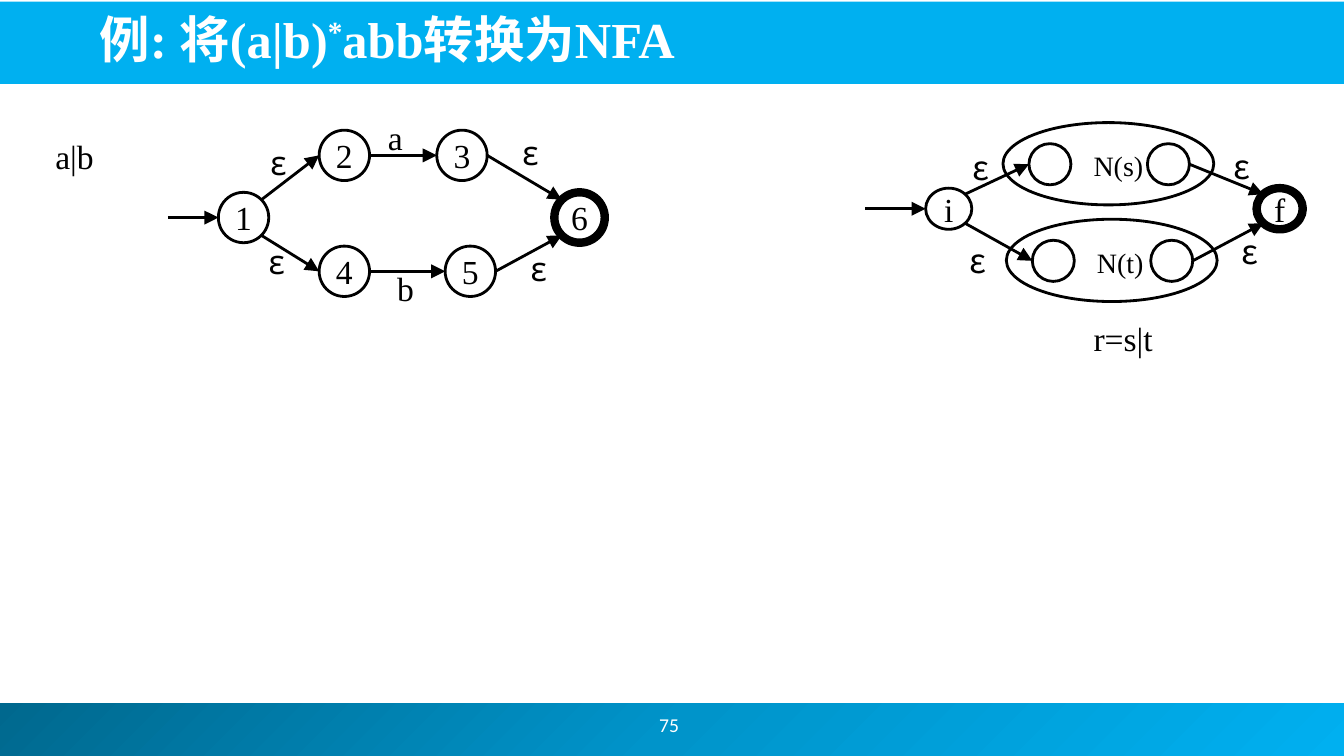
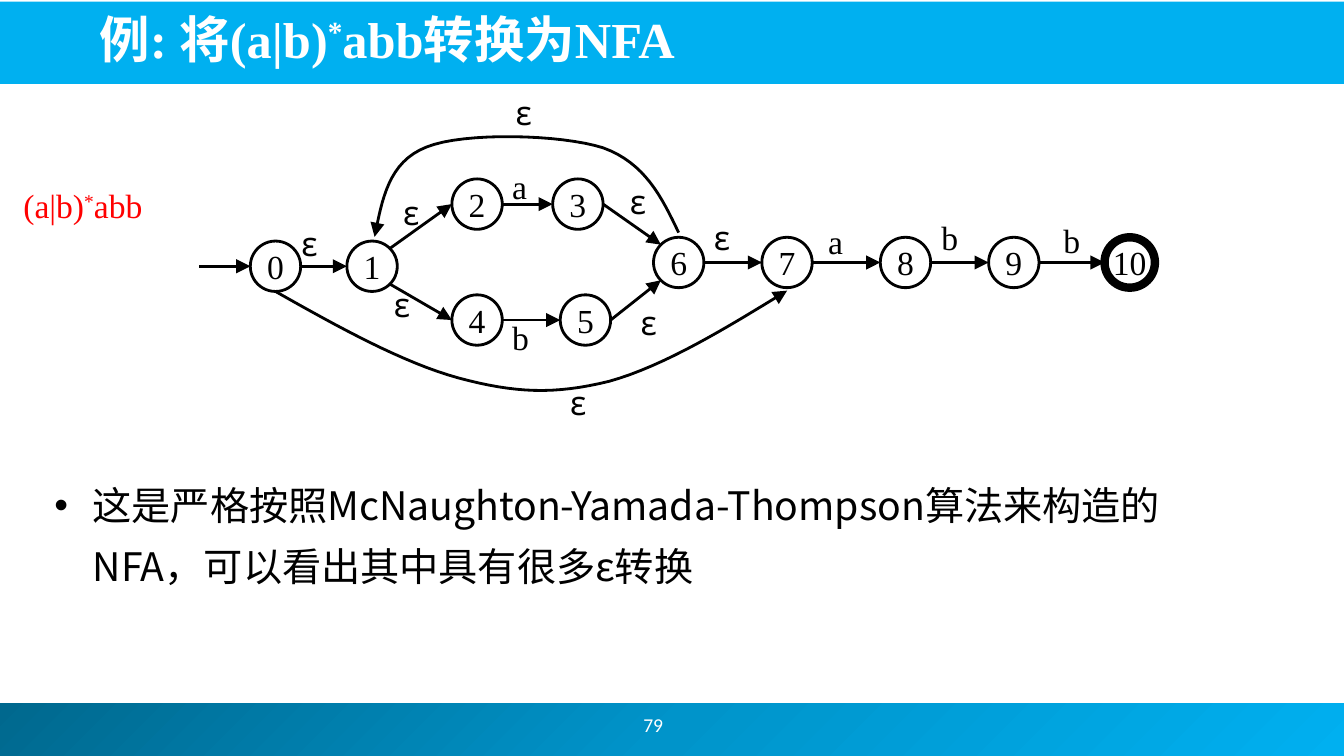
"""Build two slides that turn the regular expression (a|b)*abb into an NFA."""
from copy import deepcopy
from dataclasses import dataclass
from enum import IntEnum
from math import cos, pi, sin

from lxml import etree
from pptx import Presentation
from pptx import util as u
from pptx.dml.color import RGBColor
from pptx.enum import shapes, text
from pptx.oxml.ns import qn

COLS, ROWS = 160, 90
CELL = u.Inches(7.5) / ROWS
COLORS = {
    "ink": "000000", "accent": "FF0000", "white": "FFFFFF", "band": "00B0F0",
    "foot_dark": "00688E", "foot_mid": "0094CA",
}
SERIF, SANS, ROUND, PLAIN = "Times New Roman", "Noto Sans CJK JP", "Comic Neue", "Calibri"
THIN, THICK = 2, 6
CURVE_STEPS = 16


class Site(IntEnum):
    """Connection sites of an ellipse, counter-clockwise from the top."""
    TOP_LEFT = 1
    LEFT = 2
    BOTTOM_LEFT = 3
    BOTTOM_RIGHT = 5
    RIGHT = 6
    TOP_RIGHT = 7


@dataclass(frozen=True)
class Run:
    """A piece of text with its font."""
    text: str
    font: str = SERIF
    baseline: int = 0


@dataclass(frozen=True)
class State:
    """An ellipse in grid cells; entry is the length of its start arrow."""
    key: str
    x: float
    y: float
    label: str = ""
    w: float = 6
    h: float = 6
    final: bool = False
    entry: float = 0

    def at(self, site: Site) -> tuple[float, float]:
        """Return the grid position of a connection site."""
        angle = pi / 2 + site * pi / 4
        return (self.x + self.w * (1 + cos(angle)) / 2,
                self.y + self.h * (1 - sin(angle)) / 2)


@dataclass(frozen=True)
class Arrow:
    """A transition between two states."""
    start: str
    end: str
    leave: Site = Site.RIGHT
    enter: Site = Site.LEFT


@dataclass(frozen=True)
class Label:
    """Free text at a grid position."""
    x: float
    y: float
    runs: tuple[Run, ...]
    w: float = 4.5
    size: int = 24
    color: str = "ink"


@dataclass(frozen=True)
class Page:
    """What one slide shows."""
    number: str
    number_x: float
    states: list[State]
    arrows: list[Arrow]
    labels: list[Label]
    curves: tuple = ()
    note: str = ""


def marks(run: Run, *spots: tuple[float, float]) -> list[Label]:
    """Repeat one transition symbol at several spots."""
    return [Label(x, y, (run,)) for x, y in spots]


def fork(first: str, last: str, *branches: tuple[str, str]) -> list[Arrow]:
    """Return arrows from one state through an upper and a lower branch."""
    leaves = (Site.TOP_RIGHT, Site.BOTTOM_RIGHT)
    enters = (Site.TOP_LEFT, Site.BOTTOM_LEFT)
    return ([Arrow(first, b[0], leave=s) for b, s in zip(branches, leaves)]
            + [Arrow(b[1], last, enter=s) for b, s in zip(branches, enters)])


def chain(*keys: str) -> list[Arrow]:
    """Return horizontal arrows along a row of states."""
    return [Arrow(a, b) for a, b in zip(keys, keys[1:])]


def submachine(key: str, x: float, y: float) -> tuple[list[State], Label]:
    """Return the outline, end states and name of a nested automaton."""
    states = [State(key, x, y, w=25.1, h=9.8)]
    states += [State(key + end, x + dx, y + 2.5, w=5, h=4.9)
               for end, dx in (("in", 3.1), ("out", 17.2))]
    return states, Label(x + 9.6, y + 2.5, (Run(f"N({key})"),), 9.5, 20)


def g(n: float) -> int:
    """Convert grid cells to a length."""
    return u.Emu(round(n * CELL))


def rgb(name: str) -> RGBColor:
    """Look up a colour."""
    return RGBColor.from_string(COLORS[name])


def write(p, runs: tuple[Run, ...], size: int, color: str, bold: bool = False) -> None:
    """Add runs to a paragraph."""
    for run in runs:
        r = p.add_run()
        r.text = run.text
        r.font.size, r.font.name, r.font.bold = u.Pt(size), run.font, bold
        r.font.color.rgb = rgb(color)
        rPr = r._r.get_or_add_rPr()
        etree.SubElement(rPr, qn("a:ea"), typeface=SANS)
        if run.baseline:
            rPr.set("baseline", str(run.baseline * 1000))


def add_text(s, x, y, w, h, runs, size, color="ink", bold=False, wrap=True,
             anchor=text.MSO_ANCHOR.TOP):
    """Add a text box and return its first paragraph."""
    tf = s.shapes.add_textbox(g(x), g(y), g(w), g(h)).text_frame
    tf.word_wrap, tf.vertical_anchor = wrap, anchor
    write(tf.paragraphs[0], runs, size, color, bold)
    return tf.paragraphs[0]


def stroke(sp, width: float = THIN, arrow: bool = False) -> None:
    """Give a shape or connector a black line, with an arrowhead if asked."""
    sp.line.color.rgb = rgb("ink")
    sp.line.width = u.Pt(width)
    if arrow:
        ln = sp._element.spPr.find(qn("a:ln"))
        etree.SubElement(ln, qn("a:tailEnd"), type="triangle", w="lg", len="lg")


def add_band(s, y: float, h: float):
    """Add a full-width band."""
    sp = s.shapes.add_shape(shapes.MSO_SHAPE.RECTANGLE, 0, g(y), g(COLS), g(h))
    sp.shadow.inherit = False
    sp.line.fill.background()
    return sp


def add_frame(s, page: Page) -> None:
    """Draw the bands, title and page number."""
    foot = add_band(s, 83.7, 6.3)
    foot.fill.gradient()
    foot.fill.gradient_angle = 315
    stops = foot._element.spPr.find(".//" + qn("a:gsLst"))
    stops.insert(1, deepcopy(stops[0]))
    for stop, pos, name in zip(foot.fill.gradient_stops, (0, 0.5, 1),
                               ("foot_dark", "foot_mid", "band")):
        stop.position, stop.color.rgb = pos, rgb(name)
    head = add_band(s, 0.2, 9.8)
    head.fill.solid()
    head.fill.fore_color.rgb = rgb("band")
    title = (Run("例", SANS), Run(": 将(a|b)"), Run("*", baseline=30), Run("abb转换为NFA"))
    add_text(s, 10.7, 0.5, 136, 8.2, title, 36, "white", True,
             anchor=text.MSO_ANCHOR.BOTTOM)
    add_text(s, page.number_x, 83.3, 34.7, 6, (Run(page.number, PLAIN),), 14, "white",
             anchor=text.MSO_ANCHOR.MIDDLE)


def add_state(s, st: State):
    """Draw a state."""
    sp = s.shapes.add_shape(shapes.MSO_SHAPE.OVAL, g(st.x), g(st.y), g(st.w), g(st.h))
    sp.shadow.inherit = False
    sp.fill.background()
    stroke(sp, THICK if st.final else THIN)
    if st.label:
        tf = sp.text_frame
        tf.word_wrap, tf.vertical_anchor = False, text.MSO_ANCHOR.MIDDLE
        tf.paragraphs[0].alignment = text.PP_ALIGN.CENTER
        write(tf.paragraphs[0], (Run(st.label),), 24, "ink")
    return sp


def add_arrow(s, start: tuple[float, float], end: tuple[float, float], joins) -> None:
    """Draw a straight arrow glued to the given shapes and sites."""
    c = s.shapes.add_connector(shapes.MSO_CONNECTOR.STRAIGHT,
                               *(g(n) for n in (*start, *end)))
    stroke(c, arrow=True)
    etree.SubElement(c._element.spPr, qn("a:effectLst"))
    for tag, sp, site in joins:
        etree.SubElement(c._element.nvCxnSpPr.cNvCxnSpPr, qn(tag),
                         id=str(sp.shape_id), idx=str(int(site)))


def add_curve(s, pts: list[tuple[float, float]]) -> None:
    """Draw an arrow along joined cubic Bezier segments."""
    path_pts = []
    for i in range(0, len(pts) - 1, 3):
        for step in range(1, CURVE_STEPS + 1):
            t = step / CURVE_STEPS
            weights = ((1 - t) ** 3, 3 * t * (1 - t) ** 2, 3 * t * t * (1 - t), t ** 3)
            path_pts.append(tuple(
                g(sum(k * pt[axis] for k, pt in zip(weights, pts[i:i + 4])))
                for axis in (0, 1)))
    fb = s.shapes.build_freeform(g(pts[0][0]), g(pts[0][1]))
    fb.add_line_segments(path_pts, close=False)
    sp = fb.convert_to_shape()
    sp.shadow.inherit = False
    sp.fill.background()
    stroke(sp, arrow=True)


def add_note(s, note: str) -> None:
    """Draw the bulleted remark."""
    p = add_text(s, 5.3, 55, 144.7, 15.8, (Run(note, SANS),), 28)
    pPr = p._p.get_or_add_pPr()
    indent = u.Inches(0.38)
    pPr.set("marL", str(indent))
    pPr.set("indent", str(-indent))
    etree.SubElement(pPr, qn("a:buFont"), typeface="Arial")
    etree.SubElement(pPr, qn("a:buChar"), char="•")
    p.line_spacing = 1.3


def add_page(prs, page: Page) -> None:
    """Draw one slide."""
    s = prs.slides.add_slide(prs.slide_layouts[6])
    add_frame(s, page)
    states = {st.key: st for st in page.states}
    ovals = {key: add_state(s, st) for key, st in states.items()}
    for key, st in states.items():
        if st.entry:
            x, y = st.at(Site.LEFT)
            add_arrow(s, (x - st.entry, y), (x, y), [("a:endCxn", ovals[key], Site.LEFT)])
    for a in page.arrows:
        add_arrow(s, states[a.start].at(a.leave), states[a.end].at(a.enter),
                  [("a:stCxn", ovals[a.start], a.leave), ("a:endCxn", ovals[a.end], a.enter)])
    for pts in page.curves:
        add_curve(s, pts)
    for lb in page.labels:
        add_text(s, lb.x, lb.y, lb.w, 6, lb.runs, lb.size, lb.color, wrap=False)
    if page.note:
        add_note(s, page.note)


def main() -> None:
    """Build and save the deck."""
    a, b, eps = Run("a"), Run("b"), Run("ε", ROUND)
    s_states, s_name = submachine("s", 119.4, 14.6)
    t_states, t_name = submachine("t", 119.8, 26.1)
    union = Page(
        "75", 77.3,
        [State("1", 26, 22.9, "1", entry=6), State("2", 38, 15.5, "2"),
         State("3", 52, 15.5, "3"), State("4", 38, 29.3, "4"), State("5", 53, 29.3, "5"),
         State("6", 66, 22.9, "6", final=True),
         State("i", 110.2, 22.4, "i", 5.5, 4.9, entry=7.2),
         State("f", 149.6, 22.4, "f", 5.5, 4.9, final=True), *s_states, *t_states],
        fork("1", "6", ("2", "3"), ("4", "5")) + chain("2", "3") + chain("4", "5")
        + fork("i", "f", ("sin", "sout"), ("tin", "tout")),
        marks(eps, (31, 16.3), (61, 15.1), (62, 28.9), (30.8, 28.1))
        + marks(Run("ε", SANS), (114.6, 16.9), (114.2, 28), (146.6, 26.9), (145.7, 16.8))
        + marks(a, (45, 13.3)) + marks(b, (46.1, 31.3))
        + [s_name, t_name, Label(5.4, 15.6, (Run("a|b"),), 7.1),
           Label(129, 37.2, (Run("r=s|t"),), 9.5)])
    row = [State(k, x, 28.25, k, final=k == "10") for k, x in
           (("6", 77.8), ("7", 90.7), ("8", 104.8), ("9", 117.7), ("10", 131.5))]
    whole = Page(
        "79", 75.4,
        [State("0", 29.8, 28.7, "0", entry=6.1), State("1", 41.3, 28.7, "1"),
         State("2", 53.8, 21.3, "2"), State("3", 65.8, 21.3, "3"),
         State("4", 53.8, 35.1, "4"), State("5", 66.7, 35.1, "5"), *row],
        fork("1", "6", ("2", "3"), ("4", "5")) + chain("0", "1") + chain("2", "3")
        + chain("4", "5") + chain(*(st.key for st in row)),
        marks(eps, (46.8, 22.2), (73.8, 20.9), (75.1, 35.3), (45.7, 33.2), (34.7, 25.9),
              (83.8, 25.2), (60.2, 10.3), (66.7, 44.9))
        + marks(a, (59.8, 19.2), (97.4, 25.7))
        + marks(b, (59.8, 37.1), (110.9, 25.2), (125.4, 25.6))
        + [Label(1.6, 21.4, (Run("(a|b)"), Run("*", baseline=30), Run("abb")), 16.9,
                 color="accent")],
        ([(80.8, 27.7), (78.8, 23.5), (76.8, 19.4), (71.8, 17.6), (66.8, 16),
          (55.3, 15.7), (50.8, 17.5), (46.2, 19.3), (45.5, 23.8), (44.6, 28.2)],
         [(32.8, 34.7), (40.4, 39), (48, 43.2), (54.6, 45), (61.3, 46.8),
          (66, 47), (72.5, 45.4), (79, 43.6), (86.4, 39.1), (93.7, 34.6)]),
        "这是严格按照McNaughton-Yamada-Thompson算法来构造的NFA，可以看出其中具有很多ε转换")
    prs = Presentation()
    prs.slide_width, prs.slide_height = g(COLS), g(ROWS)
    for page in (union, whole):
        add_page(prs, page)
    prs.save("out.pptx")


if __name__ == "__main__":
    main()
